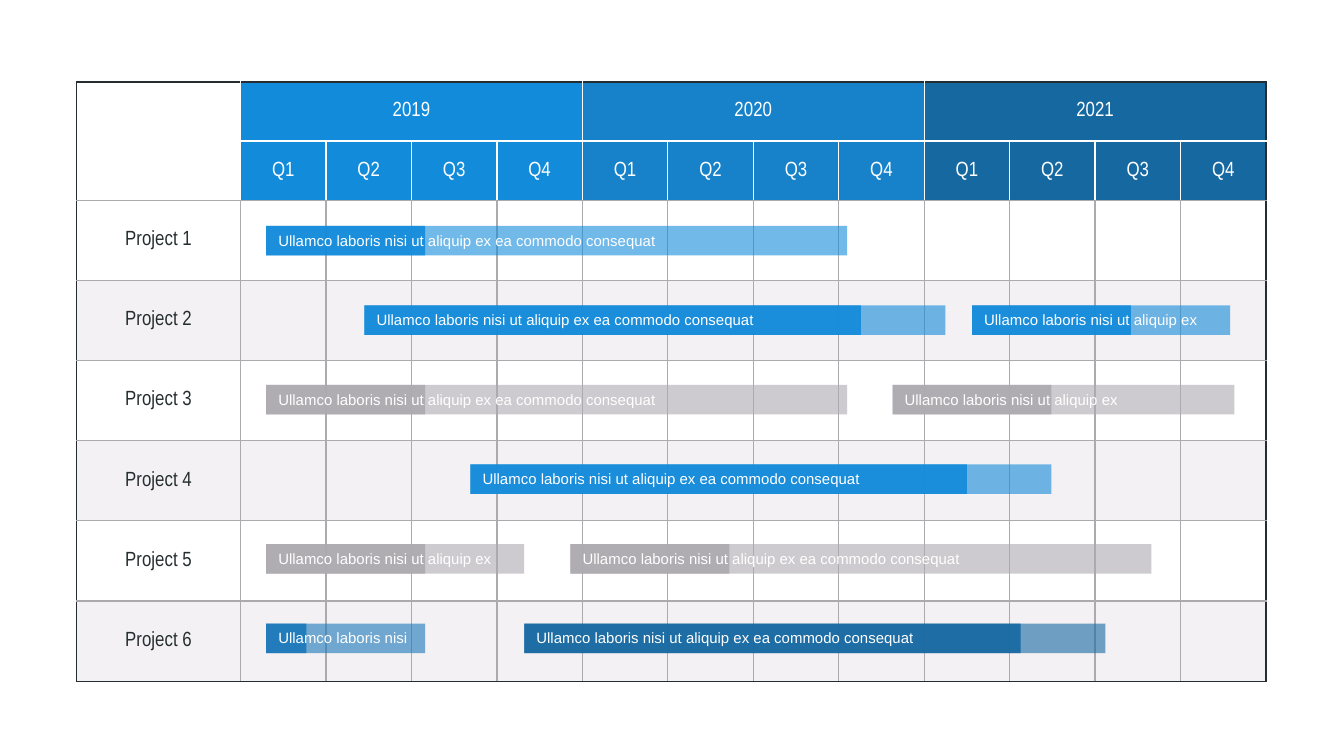
from lxml.etree import SubElement
from pptx import Presentation
from pptx.dml.color import RGBColor
from pptx.enum.shapes import MSO_SHAPE
from pptx.enum.text import MSO_ANCHOR, PP_ALIGN
from pptx.oxml import parse_xml
from pptx.oxml.ns import nsdecls, qn
from pptx.util import Inches, Pt

# Colours
WHITE = RGBColor(0xFF, 0xFF, 0xFF)
DARK = RGBColor(0x25, 0x2D, 0x30)
GREY = RGBColor(0xAC, 0xA9, 0xAF)
PALE = RGBColor(0xE8, 0xE5, 0xE9)
BLUE = RGBColor(0x13, 0x8B, 0xDB)
MID_BLUE = RGBColor(0x17, 0x82, 0xCA)
STEEL_BLUE = RGBColor(0x1A, 0x77, 0xB9)
DEEP_BLUE = RGBColor(0x16, 0x68, 0xA1)

# Slide (16:9) and grid, in inches
PAGE_WIDTH = 10
PAGE_HEIGHT = PAGE_WIDTH * 9 / 16
LEFT, TOP = 0.57, 0.61
LABEL_WIDTH = 1.22
QUARTER = 7.63 / 12
HEADER_HEIGHT = 0.44
PROJECT_HEIGHT = (4.46 - 2 * HEADER_HEIGHT) / 6
CHART_LEFT = LEFT + LABEL_WIDTH
FIRST_BAR, LAST_BAR = 1.68, 4.64
BAR_PITCH = (LAST_BAR - FIRST_BAR) / 5
BAR_HEIGHT = 0.22

YEARS = [("2019", BLUE), ("2020", MID_BLUE), ("2021", DEEP_BLUE)]
PROJECTS = 6
ROWS, COLUMNS = 2 + PROJECTS, 1 + 4 * len(YEARS)

# Task wordings with the width of their text boxes
SHORT = ("Ullamco laboris nisi", 1.13)
MEDIUM = ("Ullamco laboris nisi ut aliquip ex", 1.87)
LONG = ("Ullamco laboris nisi ut aliquip ex ea commodo consequat", 3.11)

# Project, start, length and finished part (in quarters), colour, wording
TASKS = [
    (1, 0.3, 6.8, 1.86, BLUE, LONG),
    (6, 0.3, 1.86, 0.47, STEEL_BLUE, SHORT),
    (2, 1.45, 6.8, 5.81, BLUE, LONG),
    (3, 0.3, 6.8, 1.86, GREY, LONG),
    (4, 2.69, 6.8, 5.81, BLUE, LONG),
    (3, 7.63, 4, 1.86, GREY, MEDIUM),
    (5, 0.3, 3.02, 1.86, GREY, MEDIUM),
    (2, 8.56, 3.02, 1.86, BLUE, MEDIUM),
    (6, 3.32, 6.8, 5.81, DEEP_BLUE, LONG),
    (5, 3.86, 6.8, 1.86, GREY, LONG),
]


def set_fill(fill, color, opacity=100):
    fill.solid()
    fill.fore_color.rgb = color
    if opacity < 100:
        rgb = fill._xPr.find(".//" + qn("a:srgbClr"))
        SubElement(rgb, qn("a:alpha")).set("val", str(opacity * 1000))


def set_insets(frame):
    frame.margin_left = frame.margin_right = Inches(0.04)
    frame.margin_top = frame.margin_bottom = Inches(0.02)


def format_text(para, size, font_name, color):
    for span in para.runs:
        span.font.size = Pt(size)
        span.font.name = font_name
        span.font.color.rgb = color


def border_colors(row, column):
    """Edge colours in the order left, right, top, bottom."""
    header = row < 2 and column > 0
    last_column = COLUMNS - 4 if row == 0 else COLUMNS - 1
    left = DARK if column == 0 else WHITE if header else GREY
    right = DARK if column >= last_column else WHITE if row < 2 else GREY
    top = DARK if row == 0 else WHITE if header and row == 1 else GREY
    bottom = DARK if row == ROWS - 1 else WHITE if header and row == 0 else GREY
    return left, right, top, bottom


def set_borders(cell, colors):
    properties = cell._tc.get_or_add_tcPr()
    for index, (edge, color) in enumerate(zip("LRTB", colors)):
        properties.insert(index, parse_xml(
            f'<a:ln{edge} {nsdecls("a")} w="9525"><a:solidFill>'
            f'<a:srgbClr val="{color}"/></a:solidFill></a:ln{edge}>'))


def fill_cell(cell, row, column):
    if row < 2 and column > 0:
        set_fill(cell.fill, YEARS[(column - 1) // 4][1])
    elif row < 2:
        cell.fill.background()
    elif row % 2:
        set_fill(cell.fill, PALE, 50)
    else:
        # Project 5 has a half transparent white row
        set_fill(cell.fill, WHITE, 50 if row == 6 else 100)


def write_cell(cell, text, color):
    cell.text_frame.text = text
    para = cell.text_frame.paragraphs[0]
    para.alignment = PP_ALIGN.CENTER
    format_text(para, 11, "Arial Narrow", color)


def add_timetable(page):
    height = 2 * HEADER_HEIGHT + PROJECTS * PROJECT_HEIGHT
    width = LABEL_WIDTH + (COLUMNS - 1) * QUARTER
    table = page.shapes.add_table(
        ROWS, COLUMNS, Inches(LEFT), Inches(TOP), Inches(width), Inches(height)).table
    table.first_row = table.horz_banding = False
    for index, column in enumerate(table.columns):
        column.width = Inches(QUARTER if index else LABEL_WIDTH)
    for index, row in enumerate(table.rows):
        row.height = Inches(HEADER_HEIGHT if index < 2 else PROJECT_HEIGHT)

    # Look of every cell
    for row in range(ROWS):
        for column in range(COLUMNS):
            cell = table.cell(row, column)
            fill_cell(cell, row, column)
            set_borders(cell, border_colors(row, column))
            set_insets(cell)
            cell.vertical_anchor = MSO_ANCHOR.MIDDLE

    # Years, quarters and project names
    table.cell(0, 0).merge(table.cell(1, 0))
    for index, (year, _) in enumerate(YEARS):
        first = 1 + 4 * index
        table.cell(0, first).merge(table.cell(0, first + 3))
        write_cell(table.cell(0, first), year, WHITE)
        for quarter in range(4):
            write_cell(table.cell(1, first + quarter), f"Q{quarter + 1}", WHITE)
    for project in range(1, PROJECTS + 1):
        write_cell(table.cell(project + 1, 0), f"Project {project}", DARK)


def add_bar(group, left, top, quarters, color, opacity):
    bar = group.shapes.add_shape(
        MSO_SHAPE.RECTANGLE, Inches(left), Inches(top),
        Inches(quarters * QUARTER), Inches(BAR_HEIGHT))
    bar.shadow.inherit = False
    set_fill(bar.fill, color, opacity)
    bar.line.fill.background()


def add_task(page, project, start, length, finished, color, wording):
    left = CHART_LEFT + start * QUARTER
    top = FIRST_BAR + (project - 1) * BAR_PITCH
    group = page.shapes.add_group_shape()
    add_bar(group, left, top, length, color, 60)
    add_bar(group, left, top, finished, color, 90)
    text, width = wording
    box = group.shapes.add_textbox(
        Inches(left + 0.05), Inches(top + 0.02), Inches(width), Inches(0.18))
    frame = box.text_frame
    frame.text = text
    frame.word_wrap = True
    set_insets(frame)
    format_text(frame.paragraphs[0], 8, "Arial", WHITE)


def main():
    deck = Presentation()
    deck.slide_width, deck.slide_height = Inches(PAGE_WIDTH), Inches(PAGE_HEIGHT)
    page = deck.slides.add_slide(deck.slide_layouts[6])
    add_timetable(page)
    for task in TASKS:
        add_task(page, *task)
    deck.save("out.pptx")


if __name__ == "__main__":
    main()
